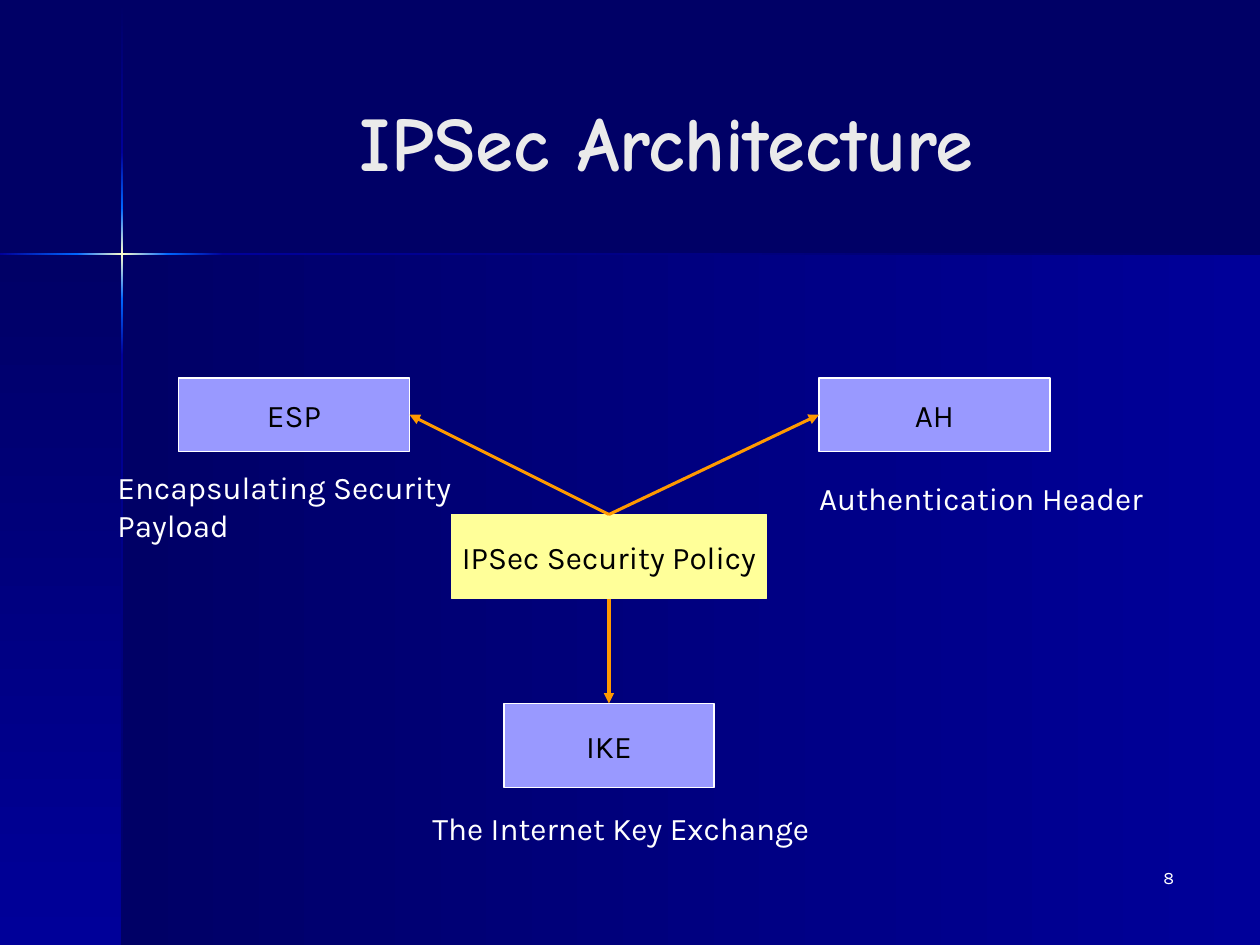
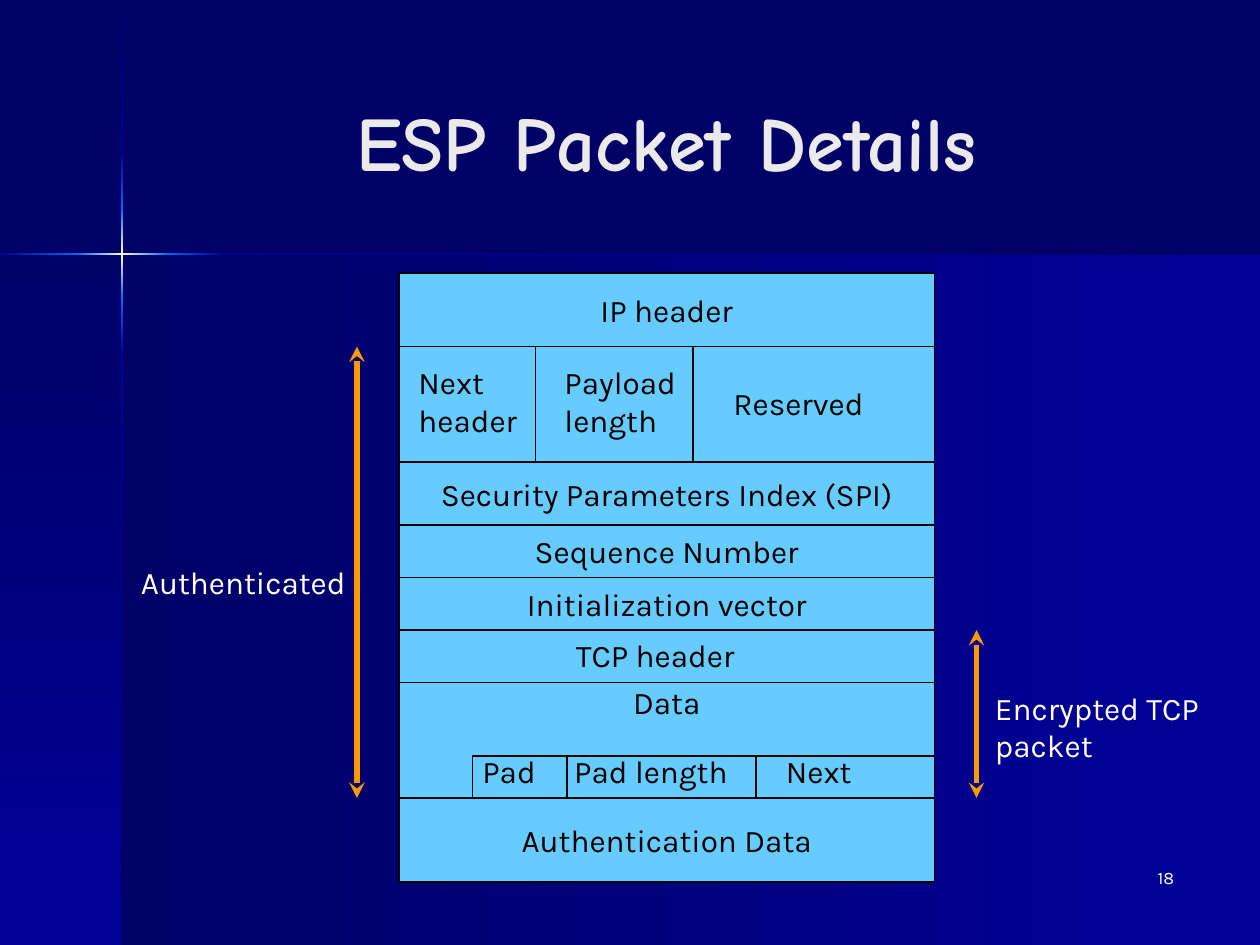
from lxml.etree import SubElement
from pptx import Presentation
from pptx.dml.color import RGBColor as Rgb
from pptx.enum.shapes import MSO_CONNECTOR as Conn, MSO_SHAPE as Kind
from pptx.enum.text import MSO_ANCHOR as Anchor, MSO_AUTO_SIZE as Auto, PP_ALIGN as Align
from pptx.oxml.ns import qn
from pptx.util import Pt

HUES = {
    "night": "000066", "navy": "000099", "blue": "0066FF", "glow": "FFFFCC",
    "title": "EAEAEA", "white": "FFFFFF", "black": "000000", "lilac": "9999FF",
    "lemon": "FFFF99", "sky": "66CCFF", "orange": "FF9900",
}
HEAD, BODY = "Comic Neue", "Karla"
TITLE = (84, 24, 594, 113)
FOOT = (528, 492, 150, 36)

BANDS = [
    ((70, 145.5, 650, 394.5), 180, ("navy", "night")),
    ((0, 145.5, 70, 394.5), 90, ("night", "navy")),
]
BAR = 1.5
RISE = (69, [
    (1, 87, ("night", "navy")),
    (87, 119, ("navy", "blue")),
    (119, 171, ("blue", "glow", "blue")),
    (171, 203, ("blue", "navy")),
    (203, 540, ("navy", "night")),
])
RUN = (144.5, [
    (0, 44, ("blue", "navy")),
    (44, 96, ("blue", "glow", "blue")),
    (96, 127.5, ("navy", "blue")),
    (127.5, 720, ("night", "navy")),
])

NODES = {
    "ESP": ((102, 216, 132, 42), "lilac", "white"),
    "AH": ((468, 216, 132, 42), "lilac", "white"),
    "IKE": ((288, 402, 120, 48), "lilac", "white"),
    "IPSec Security Policy": ((258, 294, 180, 48), "lemon", "lemon"),
}
HUB = "IPSec Security Policy"
TOP, LEFT, BOTTOM, RIGHT = range(4)
LINKS = [("ESP", TOP, RIGHT), ("AH", TOP, LEFT), ("IKE", BOTTOM, TOP)]
NAMES = [
    ((60, 264, 205, 50), ["Encapsulating Security", "Payload"]),
    ((461, 270, 206, 29), ["Authentication Header"]),
    ((240, 458.5, 241, 29), ["The Internet Key Exchange"]),
]

STACK = (228, 156, 306)
ROWS = [
    ("IP header", 42), ("", 66), ("Security Parameters Index (SPI)", 36),
    ("Sequence Number", 30), ("Initialization vector", 30), ("", 30),
    ("Data", 66), ("Authentication Data", 48),
]
CELLS = [
    ((232, 204, 74, 50), ["Next", "header"]),
    ((315.5, 204, 81, 50), ["Payload", "length"]),
    ((412, 216, 92, 29), ["Reserved"]),
    ((322, 360, 111, 29), ["TCP header"]),
    ((268.5, 426, 46, 29), ["Pad"]),
    ((321, 426, 106, 29), ["Pad length"]),
    ((442, 426, 54, 29), ["Next"]),
]
RULES = [(306, 198, 264), (396, 198, 264), (324, 432, 456), (432, 432, 456)]
TRAIL = [(270, 456), (270, 432), (534, 432)]
SPANS = [
    ((204, 198, 456), (73.5, 318, 133, 29), ["Authenticated"]),
    ((558, 360, 456), (561.5, 390, 141, 50), ["Encrypted TCP", "packet"]),
]


def hue(key):
    return Rgb.from_string(HUES[key])


def pts(vals):
    return [Pt(v) for v in vals]


def write(frame, lines, color, size=18, font=BODY, align=Align.LEFT, bold=False):
    for i, line in enumerate(lines):
        para = frame.paragraphs[0] if i == 0 else frame.add_paragraph()
        para.alignment = align
        run = para.add_run()
        run.text = line
        run.font.name, run.font.size, run.font.bold = font, Pt(size), bold
        run.font.color.rgb = hue(color)


def label(slide, box, lines, color):
    frame = slide.shapes.add_textbox(*pts(box)).text_frame
    frame.word_wrap = False
    frame.auto_size = Auto.SHAPE_TO_FIT_TEXT
    write(frame, lines, color)


def block(slide, box, text, fill, edge):
    shape = slide.shapes.add_shape(Kind.RECTANGLE, *pts(box))
    shape.shadow.inherit = False
    shape.fill.solid()
    shape.fill.fore_color.rgb = hue(fill)
    shape.line.color.rgb = hue(edge)
    shape.line.width = Pt(0.75)
    frame = shape.text_frame
    frame.word_wrap = False
    frame.vertical_anchor = Anchor.MIDDLE
    if text:
        write(frame, [text], "black", align=Align.CENTER)
    return shape


def line(slide, ends, color, width, **tips):
    conn = slide.shapes.add_connector(Conn.STRAIGHT, *pts(ends))
    conn.line.color.rgb = hue(color)
    conn.line.width = Pt(width)
    props = conn.element.spPr
    for tip, kind in tips.items():
        SubElement(props.find(qn("a:ln")), qn(f"a:{tip}"), type=kind)
    SubElement(props, qn("a:effectLst"))
    return conn


def band(slide, layout, box, angle, colors):
    shape = slide.shapes.add_shape(Kind.RECTANGLE, *pts(box))
    shape.shadow.inherit = False
    shape.line.fill.background()
    shape.fill.gradient()
    shape.fill.gradient_angle = 360 - angle
    stops = shape.element.spPr.find(qn("a:gradFill")).find(qn("a:gsLst"))
    stops.clear()
    for i, key in enumerate(colors):
        stop = SubElement(stops, qn("a:gs"), pos=str(100000 * i // (len(colors) - 1)))
        SubElement(stop, qn("a:srgbClr"), val=HUES[key])
    layout.shapes.element.append(shape.element)


def backdrop(slide, layout):
    fill = layout.background.fill
    fill.solid()
    fill.fore_color.rgb = hue("night")
    for box, angle, colors in BANDS:
        band(slide, layout, box, angle, colors)
    x, parts = RISE
    for start, end, colors in parts:
        band(slide, layout, (x, start, BAR, end - start), 90, colors)
    y, parts = RUN
    for start, end, colors in parts:
        band(slide, layout, (start, y, end - start, BAR), 180, colors)


def page(deck, layout, title, number):
    slide = deck.slides.add_slide(layout)
    head = slide.shapes.title
    head.left, head.top, head.width, head.height = pts(TITLE)
    frame = head.text_frame
    frame.auto_size = Auto.NONE
    frame.vertical_anchor = Anchor.MIDDLE
    write(frame, [title], "title", 44, HEAD, Align.CENTER, True)
    foot = slide.shapes.add_textbox(*pts(FOOT)).text_frame
    foot.word_wrap = True
    write(foot, [number], "white", 10, align=Align.RIGHT)
    return slide


def design(slide):
    nodes = {text: block(slide, box, text, fill, edge)
             for text, (box, fill, edge) in NODES.items()}
    for name, start, end in LINKS:
        conn = line(slide, (0, 0, 0, 0), "orange", 1.75, tailEnd="triangle")
        conn.begin_connect(nodes[HUB], start)
        conn.end_connect(nodes[name], end)
    for box, lines in NAMES:
        label(slide, box, lines, "white")


def packet(slide):
    x, y, width = STACK
    for text, height in ROWS:
        row = block(slide, (x, y, width, height), text, "sky", "black")
        if text == "Data":
            row.text_frame.vertical_anchor = Anchor.TOP
            row.text_frame.margin_top = Pt(0.5)
        y += height
    for x, top, end in RULES:
        line(slide, (x, top, x, end), "black", 0.75)
    first, *rest = [pts(spot) for spot in TRAIL]
    path = slide.shapes.build_freeform(*first)
    path.add_line_segments(rest, close=False)
    trail = path.convert_to_shape()
    trail.shadow.inherit = False
    trail.fill.background()
    trail.line.color.rgb = hue("black")
    trail.line.width = Pt(0.75)
    for box, lines in CELLS:
        label(slide, box, lines, "black")
    for (x, top, end), box, lines in SPANS:
        line(slide, (x, top, x, end), "orange", 3, headEnd="stealth", tailEnd="stealth")
        label(slide, box, lines, "white")


def main():
    deck = Presentation()
    deck.slide_width, deck.slide_height = Pt(720), Pt(540)
    layout = deck.slide_layouts[5]
    first = page(deck, layout, "IPSec Architecture", "8")
    backdrop(first, layout)
    design(first)
    packet(page(deck, layout, "ESP Packet Details", "18"))
    deck.save("out.pptx")


if __name__ == "__main__":
    main()
